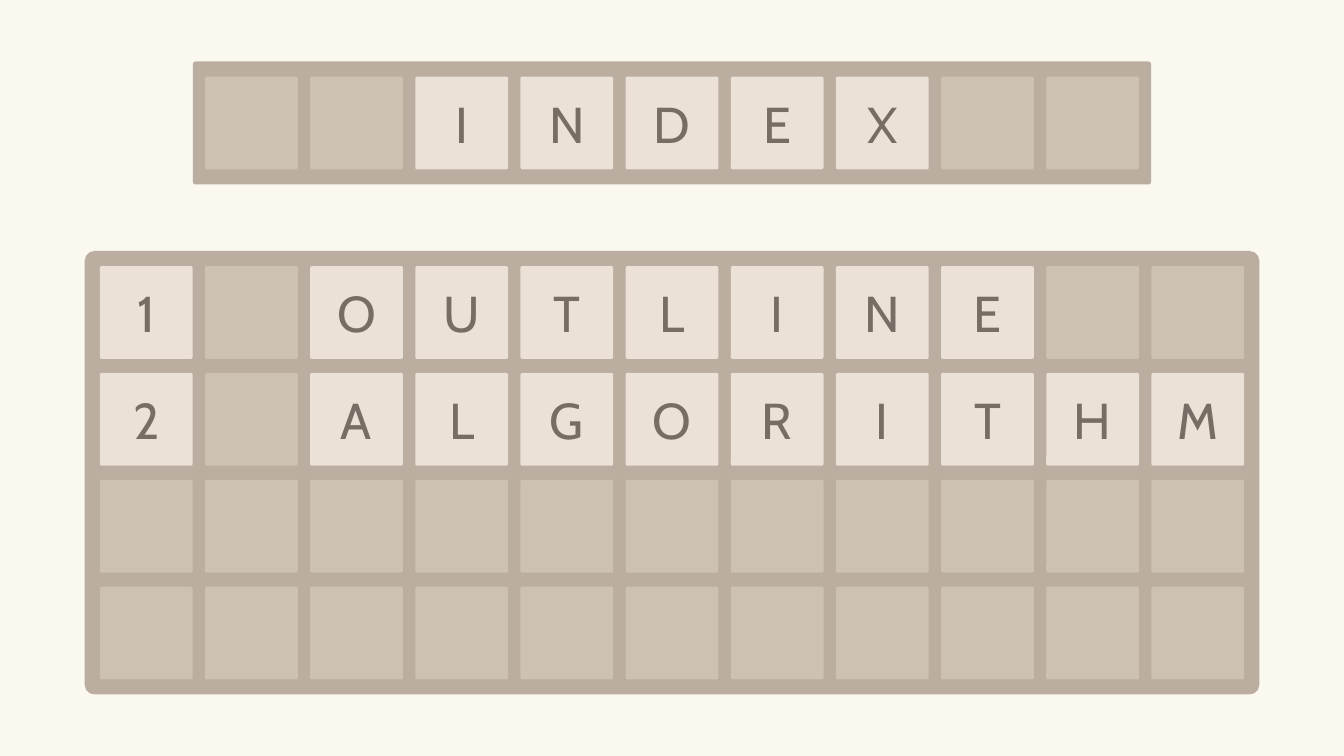
from pptx import Presentation
from pptx import util as u
from pptx.dml.color import RGBColor
from pptx.enum import shapes, text

WIDTH, HEIGHT = 13.33, 7.5

# Tile grid, in inches
LEFT = 0.99
TILE = 0.92
COLUMN = 10.43 / 10
ROW = 1.06

# Rows of tiles: a space is an empty tile
TITLE = ["  INDEX  "]
ENTRIES = ["1 OUTLINE  ", "2 ALGORITHM", " " * 11, " " * 11]


def colour(value):
    return RGBColor.from_string(value)


def write(shape, content, *, font, size, ink):
    """Centre one line of text in a shape."""
    box = shape.text_frame
    box.margin_left = box.margin_right = box.margin_top = box.margin_bottom = 0
    box.vertical_anchor = text.MSO_ANCHOR.MIDDLE
    para = box.paragraphs[0]
    para.alignment = text.PP_ALIGN.CENTER
    span = para.add_run()
    span.text = content
    span.font.name = font
    span.font.size = u.Pt(size)
    span.font.color.rgb = colour(ink)


class TileSlide:
    background = "FAF8EF"
    frame_fill = "BBADA0"
    empty_fill = "CDC1B4"
    letter_fill = "EBE1D7"
    letter_style = {"font": "Cabin", "size": 36, "ink": "766D64"}

    def __init__(self, deck):
        self.page = deck.slides.add_slide(deck.slide_layouts[6])
        fill = self.page.background.fill
        fill.solid()
        fill.fore_color.rgb = colour(self.background)

    def panel(self, left, top, width, height, fill, corner):
        shape = self.page.shapes.add_shape(
            shapes.MSO_SHAPE.ROUNDED_RECTANGLE,
            u.Inches(left), u.Inches(top), u.Inches(width), u.Inches(height))
        shape.adjustments[0] = corner
        shape.shadow.inherit = False
        shape.fill.solid()
        shape.fill.fore_color.rgb = colour(fill)
        shape.line.fill.background()
        return shape

    def tile(self, left, top, letter):
        if letter == " ":
            self.panel(left, top, TILE, TILE, self.empty_fill, 0.02)
        else:
            shape = self.panel(left, top, TILE, TILE, self.letter_fill, 0.02)
            write(shape, letter, **self.letter_style)

    def board(self, lines, first_column, top, side):
        """Frame a block of tiles; side is the frame's left and right border."""
        left = LEFT + first_column * COLUMN
        edge = 0.15
        width = (len(lines[0]) - 1) * COLUMN + TILE + 2 * side
        height = (len(lines) - 1) * ROW + TILE + 2 * edge
        self.panel(left - side, top - edge, width, height, self.frame_fill, 0.022)
        for row, line in enumerate(lines):
            for column, letter in enumerate(line):
                self.tile(left + column * COLUMN, top + row * ROW, letter)


def main():
    deck = Presentation()
    deck.slide_width, deck.slide_height = u.Inches(WIDTH), u.Inches(HEIGHT)
    slide = TileSlide(deck)

    # Title strip, one column in from the board below
    slide.board(TITLE, first_column=1, top=0.76, side=0.12)

    # Numbered entries
    slide.board(ENTRIES, first_column=0, top=2.64, side=0.15)

    deck.save("out.pptx")


if __name__ == "__main__":
    main()
